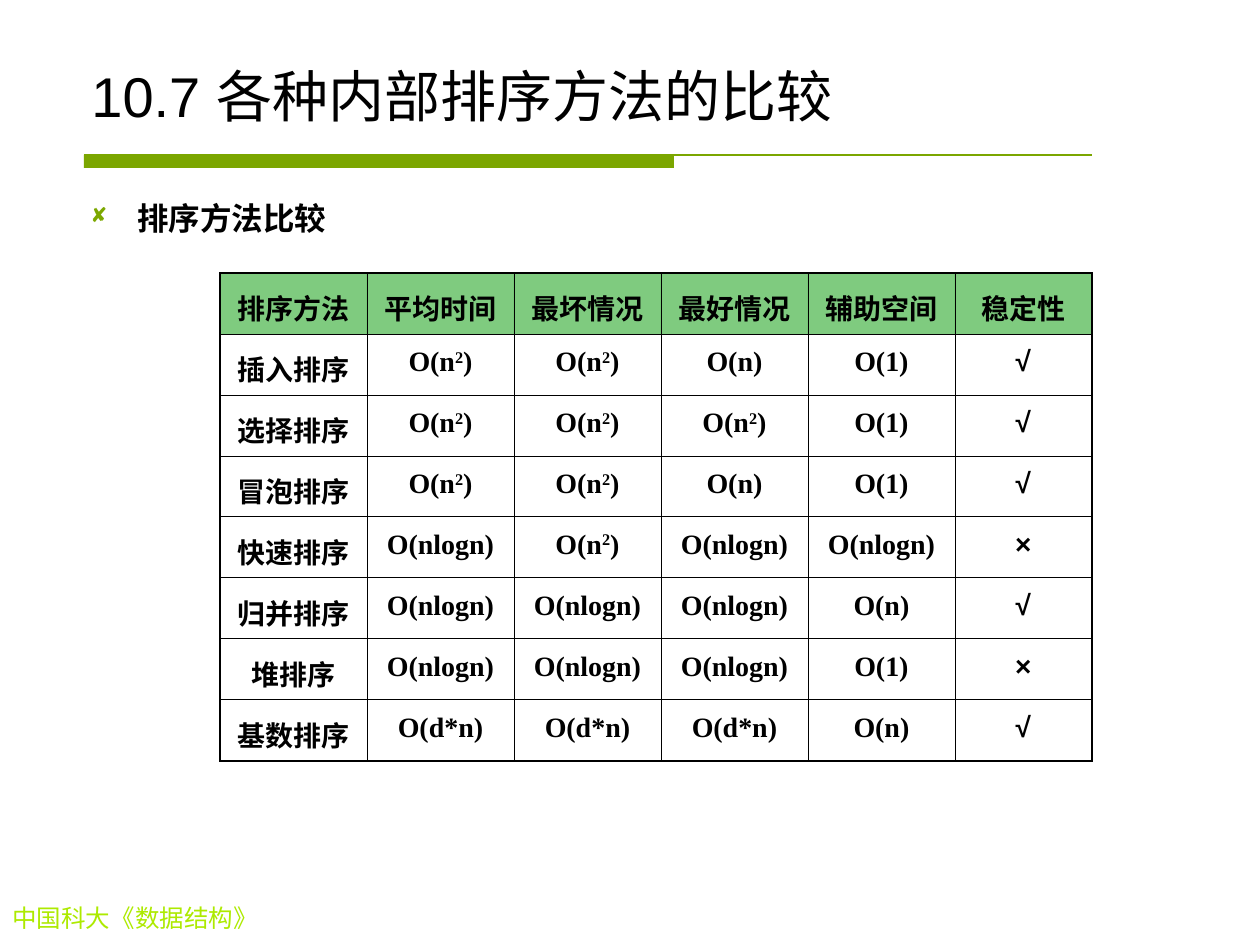
from dataclasses import dataclass

from lxml import etree
from pptx import Presentation
from pptx import util as u
from pptx.dml.color import RGBColor
from pptx.enum import shapes, text
from pptx.oxml import ns

PX = 914400 / 126
COLORS = {
    "black": "000000",
    "rule": "7BA600",
    "bullet": "7CA800",
    "footer": "ADEA00",
    "header": "009900",
}
SANS, SERIF = "Arial", "Times New Roman"
THIN, THICK = 0.45, 1.08

COLUMN_WIDTHS = [147] * 5 + [137]
ROW_HEIGHT = 61
METHODS = [
    ["排序方法", "平均时间", "最坏情况", "最好情况", "辅助空间", "稳定性"],
    ["插入排序", "O(n²)", "O(n²)", "O(n)", "O(1)", "√"],
    ["选择排序", "O(n²)", "O(n²)", "O(n²)", "O(1)", "√"],
    ["冒泡排序", "O(n²)", "O(n²)", "O(n)", "O(1)", "√"],
    ["快速排序", "O(nlogn)", "O(n²)", "O(nlogn)", "O(nlogn)", "×"],
    ["归并排序", "O(nlogn)", "O(nlogn)", "O(nlogn)", "O(n)", "√"],
    ["堆排序", "O(nlogn)", "O(nlogn)", "O(nlogn)", "O(1)", "×"],
    ["基数排序", "O(d*n)", "O(d*n)", "O(d*n)", "O(n)", "√"],
]


@dataclass
class Label:
    words: str
    left: int
    top: int
    width: int
    height: int
    size: int
    font: str = SANS
    color: str = "black"
    bold: bool = False
    bullet: str = ""
    anchor: text.MSO_ANCHOR = text.MSO_ANCHOR.TOP


LABELS = [
    Label("中国科大《数据结构》", 0, 897, 392, 43, 14, SERIF, "footer"),
    Label("10.7 各种内部排序方法的比较", 79, 42, 1102, 93, 32,
          anchor=text.MSO_ANCHOR.BOTTOM),
    Label("排序方法比较", 78, 185, 541, 684, 18, bold=True, bullet="◻"),
]


def px(n: int) -> u.Emu:
    return u.Emu(round(n * PX))


def rgb(name: str) -> RGBColor:
    return RGBColor.from_string(COLORS[name])


def add_child(parent, tag: str, **attrs: str):
    child = etree.SubElement(parent, ns.qn(tag))
    for key, value in attrs.items():
        child.set(key, value)
    return child


def set_font(p, size: int, name: str, color: str, bold: bool) -> None:
    p.font.size = u.Pt(size)
    p.font.name = name
    p.font.bold = bold
    p.font.color.rgb = rgb(color)


def add_bullet(p, char: str) -> None:
    """Hang the paragraph behind a coloured bullet."""
    p.line_spacing = 1.2
    pPr = p._p.get_or_add_pPr()
    pPr.set("marL", str(px(47)))
    pPr.set("indent", str(-px(47)))
    color = add_child(pPr, "a:buClr")
    add_child(color, "a:srgbClr", val=COLORS["bullet"])
    add_child(pPr, "a:buSzPct", val="85000")
    add_child(pPr, "a:buFont", typeface="Wingdings", charset="2")
    add_child(pPr, "a:buChar", char=char)


def add_label(s, label: Label) -> None:
    box = s.shapes.add_textbox(px(label.left), px(label.top),
                               px(label.width), px(label.height))
    tf = box.text_frame
    tf.word_wrap = True
    tf.vertical_anchor = label.anchor
    p = tf.paragraphs[0]
    if label.bullet:
        add_bullet(p, label.bullet)
    set_font(p, label.size, label.font, label.color, label.bold)
    p.add_run().text = label.words


def add_title_rule(s) -> None:
    left, top = px(84), px(155)
    bar = s.shapes.add_shape(shapes.MSO_SHAPE.RECTANGLE, left, top, px(590), px(13))
    bar.shadow.inherit = False
    bar.fill.solid()
    bar.fill.fore_color.rgb = rgb("rule")
    bar.line.fill.background()
    line = s.shapes.add_connector(shapes.MSO_CONNECTOR.STRAIGHT, left, top, px(1092), top)
    line.line.color.rgb = rgb("rule")
    line.line.width = u.Pt(0.75)
    add_child(line._element.spPr, "a:effectLst")


def set_borders(cell, widths: dict[str, float]) -> None:
    tcPr = cell._tc.get_or_add_tcPr()
    for side, width in widths.items():
        border = add_child(tcPr, f"a:ln{side}", w=str(u.Pt(width)))
        fill = add_child(border, "a:solidFill")
        add_child(fill, "a:srgbClr", val=COLORS["black"])


def fill_cell(cell, header: bool) -> None:
    """Tint a header cell half transparent; leave any other cell clear."""
    if not header:
        cell.fill.background()
        return
    cell.fill.solid()
    cell.fill.fore_color.rgb = rgb("header")
    color = cell._tc.tcPr.find(ns.qn("a:solidFill"))[0]
    add_child(color, "a:alpha", val="50000")


def write_cell(cell, words: str) -> None:
    """Write the words, raising the exponent of a squared term."""
    p = cell.text_frame.paragraphs[0]
    p.alignment = text.PP_ALIGN.CENTER
    p.line_spacing = 1.2
    set_font(p, 16, SERIF if words.startswith("O(") else SANS, "black", True)
    base, square, rest = words.partition("²")
    p.add_run().text = base
    if square:
        exponent = p.add_run()
        exponent.text = "2"
        exponent.font._element.set("baseline", "30000")
        p.add_run().text = rest


def add_comparison(s) -> None:
    rows, cols = len(METHODS), len(COLUMN_WIDTHS)
    table = s.shapes.add_table(rows, cols, px(220), px(273), px(sum(COLUMN_WIDTHS)),
                               px(ROW_HEIGHT * rows)).table
    table.first_row = table.horz_banding = False
    for column, width in zip(table.columns, COLUMN_WIDTHS):
        column.width = px(width)
    for i, method in enumerate(METHODS):
        table.rows[i].height = px(ROW_HEIGHT)
        for j, words in enumerate(method):
            cell = table.cell(i, j)
            edges = {"L": j == 0, "R": j == cols - 1, "T": i == 0, "B": i == rows - 1}
            set_borders(cell, {side: THICK if outer else THIN
                               for side, outer in edges.items()})
            fill_cell(cell, header=i == 0)
            write_cell(cell, words)


def main() -> None:
    prs = Presentation()
    prs.slide_width, prs.slide_height = px(1260), px(945)
    s = prs.slides.add_slide(prs.slide_layouts[6])
    add_title_rule(s)
    for label in LABELS:
        add_label(s, label)
    add_comparison(s)
    prs.save("out.pptx")


if __name__ == "__main__":
    main()
